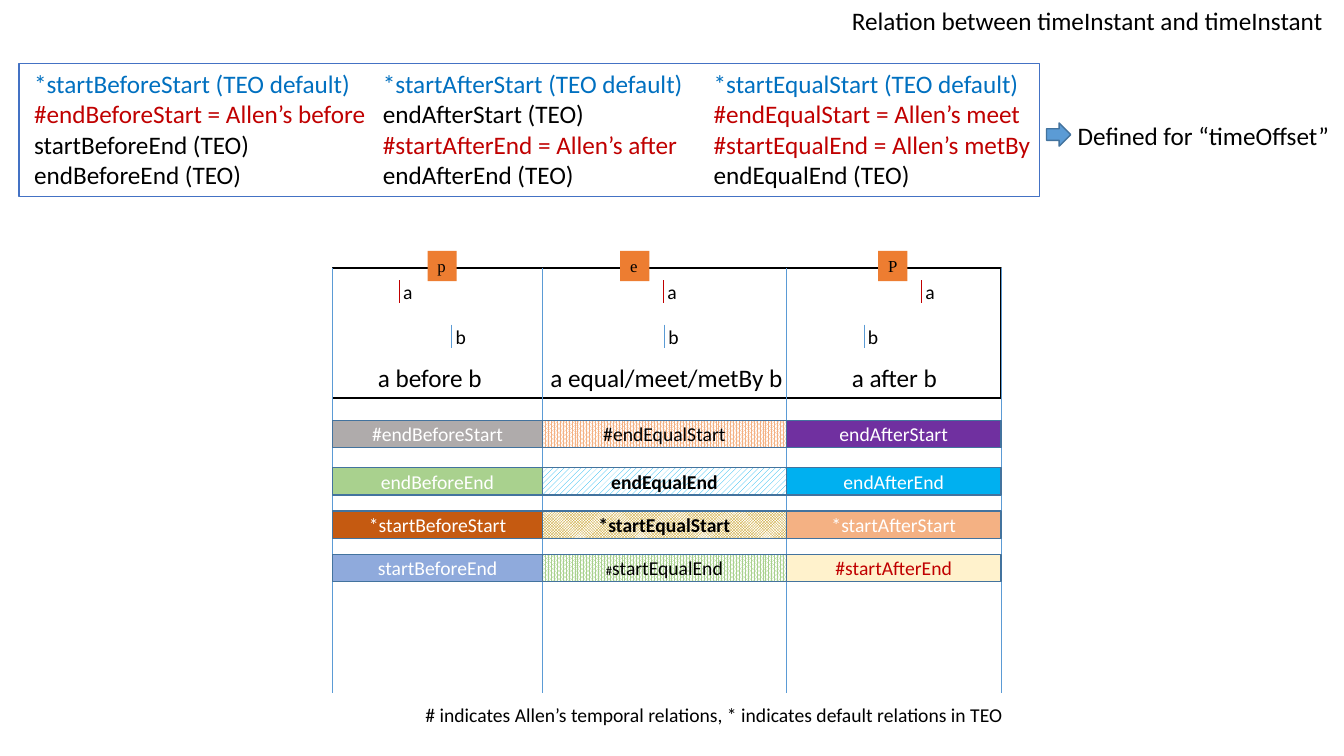
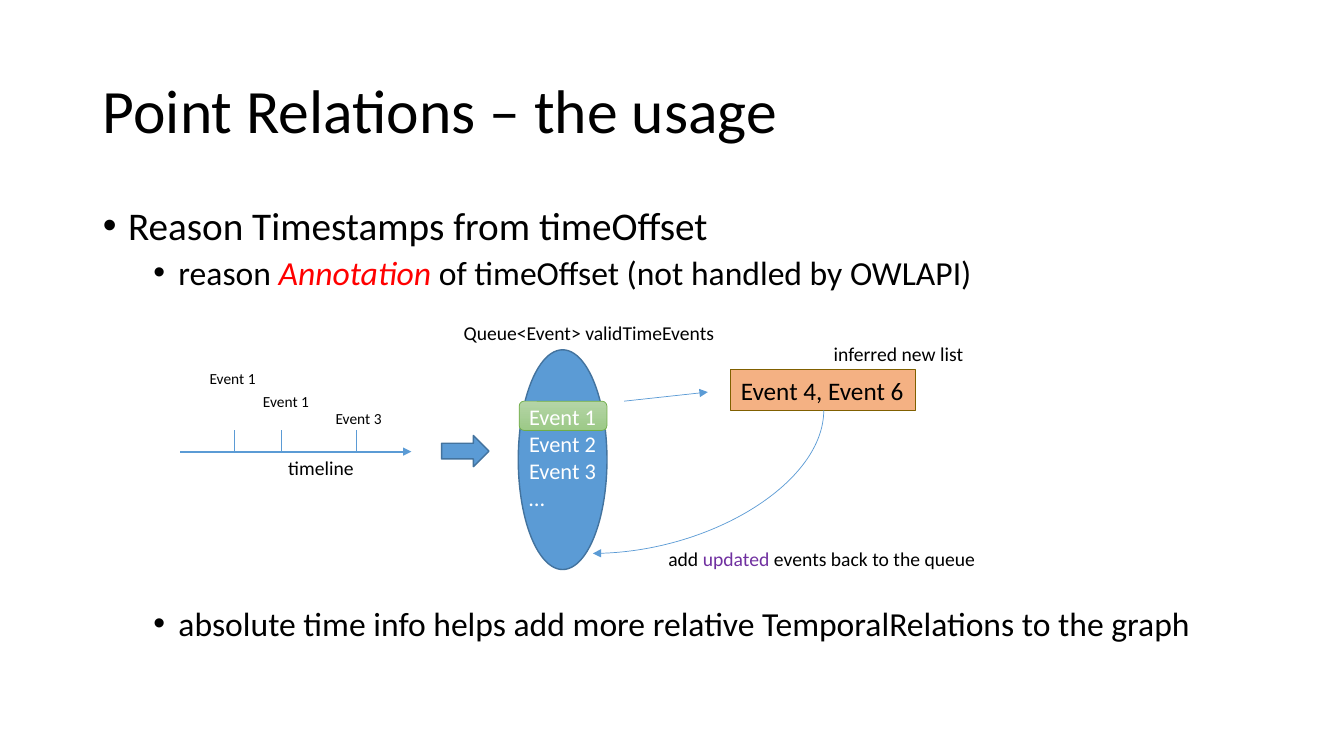
from dataclasses import dataclass

import lxml.etree
import pptx
import pptx.dml.color
import pptx.enum.dml
import pptx.enum.shapes
import pptx.enum.text
import pptx.oxml.ns
import pptx.util

Inches, Pt = pptx.util.Inches, pptx.util.Pt
SHAPE = pptx.enum.shapes.MSO_SHAPE
CONNECTOR = pptx.enum.shapes.MSO_CONNECTOR
PATTERN = pptx.enum.dml.MSO_PATTERN
ALIGN = pptx.enum.text.PP_ALIGN
ANCHOR = pptx.enum.text.MSO_ANCHOR
AUTOSIZE = pptx.enum.text.MSO_AUTO_SIZE
qn = pptx.oxml.ns.qn


@dataclass(frozen=True)
class Theme:
    """Fonts, type sizes and colours used by both slides."""
    font: str = "Calibri"
    tag_font: str = "Times New Roman"
    title: int = 44
    bullet: int = 28
    sub_bullet: int = 24
    text: int = 18
    queue: int = 16
    label: int = 14
    tag: int = 12
    event: int = 11
    hash: int = 9
    black: str = "000000"
    white: str = "FFFFFF"
    blue: str = "5B9BD5"
    edge: str = "43739E"
    frame: str = "4472C4"
    default: str = "0070C0"
    allen: str = "C00000"
    orange: str = "ED7D31"
    peach: str = "F4B183"
    green: str = "A9D18E"
    purple: str = "7030A0"
    red: str = "FF0000"
    brown: str = "806000"
    glow: tuple = ("B5D5A7", "9CC987")
    glow_edge: str = "70AD47"


T = Theme()

# Slide 1 content
HEADING = "Relation between timeInstant and timeInstant"
OFFSET_NOTE = "Defined for “timeOffset”"
LEGEND = "# indicates Allen’s temporal relations, * indicates default relations in TEO"
RELATION_LISTS = [  # left, width, relations
    (0.24, 3.6, ["*startBeforeStart (TEO default)", "#endBeforeStart = Allen’s before",
                 "startBeforeEnd (TEO)", "endBeforeEnd (TEO)"]),
    (3.7, 3.5, ["*startAfterStart (TEO default)", "endAfterStart (TEO)",
                "#startAfterEnd = Allen’s after", "endAfterEnd (TEO)"]),
    (6.98, 3.5, ["*startEqualStart (TEO default)", "#endEqualStart = Allen’s meet",
                 "#startEqualEnd = Allen’s metBy", "endEqualEnd (TEO)"]),
]
CASES = [  # tag, tag left, tick a, tick b, caption, caption left, caption width
    ("p", 4.24, 3.96, 4.48, "a before b", 3.65, 1.24),
    ("e", 6.15, 6.58, 6.59, "a equal/meet/metBy b", 5.36, 2.54),
    ("P", 8.71, 9.14, 8.57, "a after b", 8.35, 1.06),
]
COLUMN_EDGES = [3.3, 5.38, 7.8, 9.93]
BAR_TOPS = [4.17, 4.64, 5.07, 5.5]
BAR_ROWS = [  # per column: label runs, fill, pattern, text colour, bold
    [([("#endBeforeStart", T.label)], "AFABAB", None, T.white, False),
     ([("#endEqualStart", T.label)], T.peach, PATTERN.PERCENT_80, T.black, False),
     ([("endAfterStart", T.label)], T.purple, None, T.white, False)],
    [([("endBeforeEnd", T.label)], T.green, None, T.white, False),
     ([("endEqualEnd", T.label)], "00B0F0", PATTERN.WIDE_UPWARD_DIAGONAL, T.black, True),
     ([("endAfterEnd", T.label)], "00B0F0", None, T.white, False)],
    [([("*startBeforeStart", T.label)], "C55A11", None, T.white, False),
     ([("*startEqualStart", T.label)], "BF9000", PATTERN.SMALL_CHECKER_BOARD, T.black, True),
     ([("*startAfterStart", T.label)], T.peach, None, T.white, False)],
    [([("startBeforeEnd", T.label)], "8FAADC", None, T.white, False),
     ([("#", T.hash), ("startEqualEnd", T.label)], T.green, PATTERN.PERCENT_80, T.black, False),
     ([("#startAfterEnd", T.label)], "FFF2CC", None, T.allen, False)],
]

# Slide 2 content
USAGE_TITLE = "Point Relations – the usage"
USAGE_POINTS = [  # left margin, size, space before, runs (text, colour, italic)
    (0.25, T.bullet, 10, [("Reason Timestamps from timeOffset", T.black, False)]),
    (0.75, T.sub_bullet, 5, [("reason ", T.black, False), ("Annotation", T.red, True),
                             (" of timeOffset (not handled by OWLAPI)", T.black, False)]),
    (0.75, T.sub_bullet, 225, [("absolute time info helps add more relative "
                                "TemporalRelations to the graph", T.black, False)]),
]
TIMELINE_EVENTS = [  # name, label left, label top, tick
    ("Event 1", 1.98, 3.61, 2.32),
    ("Event 1", 2.51, 3.84, 2.79),
    ("Event 3", 3.23, 4.01, 3.53),
]
QUEUE = ["Event 1", "Event 2", "Event 3", "…"]
DIAGRAM_LABELS = [  # left, top, width, runs (text, colour)
    (4.5, 3.13, 2.72, [("Queue<Event> validTimeEvents", T.black)]),
    (8.17, 3.34, 1.5, [("inferred new list", T.black)]),
    (2.76, 4.47, 0.86, [("timeline", T.black)]),
    (6.53, 5.38, 3.28, [("add ", T.black), ("updated", T.purple),
                        (" events back to the queue", T.black)]),
]


def rgb(code):
    """Turn a hex code into a colour."""
    return pptx.dml.color.RGBColor.from_string(code)


def add_run(paragraph, text, size, colour=T.black, bold=False, italic=False, font=T.font):
    """Append one formatted run."""
    run = paragraph.add_run()
    run.text = text
    run.font.name, run.font.size = font, Pt(size)
    run.font.bold, run.font.italic = bold, italic
    run.font.color.rgb = rgb(colour)


def place(part, left, top, width, height):
    """Move and size a placeholder."""
    part.left, part.top = Inches(left), Inches(top)
    part.width, part.height = Inches(width), Inches(height)


def add_label(slide, left, top, width, height, lines, size, wrap=False):
    """Add a text box; each line is a list of (text, colour) runs."""
    box = slide.shapes.add_textbox(*map(Inches, (left, top, width, height)))
    frame = box.text_frame
    frame.word_wrap = wrap
    frame.auto_size = AUTOSIZE.SHAPE_TO_FIT_TEXT
    for number, line in enumerate(lines):
        paragraph = frame.add_paragraph() if number else frame.paragraphs[0]
        for text, colour in line:
            add_run(paragraph, text, size, colour)


def add_figure(slide, kind, left, top, width, height, fill, edge=T.edge, weight=1.0,
               pattern=None):
    """Add a flat preset shape with a solid or patterned fill."""
    figure = slide.shapes.add_shape(kind, *map(Inches, (left, top, width, height)))
    figure.shadow.inherit = False
    if pattern is None:
        figure.fill.solid()
    else:
        figure.fill.patterned()
        figure.fill.pattern = pattern
        figure.fill.back_color.rgb = rgb(T.white)
    figure.fill.fore_color.rgb = rgb(fill)
    if edge is None:
        figure.line.fill.background()
    else:
        figure.line.color.rgb = rgb(edge)
        figure.line.width = Pt(weight)
    return figure


def fit_text(figure, text, size, font=T.font):
    """Put one unwrapped, left-aligned line in a shape."""
    frame = figure.text_frame
    frame.word_wrap = False
    frame.auto_size = AUTOSIZE.SHAPE_TO_FIT_TEXT
    frame.vertical_anchor = ANCHOR.TOP
    frame.paragraphs[0].alignment = ALIGN.LEFT
    add_run(frame.paragraphs[0], text, size, font=font)


def add_line(slide, start, end, colour=T.blue, weight=0.5, arrow=False, kind=CONNECTOR.STRAIGHT):
    """Add a connector without shadow, optionally with an arrowhead at its end."""
    line = slide.shapes.add_connector(kind, *map(Inches, (*start, *end)))
    line.line.color.rgb = rgb(colour)
    line.line.width = Pt(weight)
    properties = line._element.spPr
    if arrow:
        lxml.etree.SubElement(properties.find(qn("a:ln")), qn("a:tailEnd"), type="triangle")
    lxml.etree.SubElement(properties, qn("a:effectLst"))
    return line


def add_return_curve(slide, start, end):
    """Add a quarter curve that leaves start downwards and reaches end leftwards."""
    across, down = start[0] - end[0], end[1] - start[1]
    middle_x, middle_y = (start[0] + end[0]) / 2, (start[1] + end[1]) / 2
    curve = add_line(slide, (middle_x - down / 2, middle_y - across / 2),
                     (middle_x + down / 2, middle_y + across / 2),
                     arrow=True, kind=CONNECTOR.CURVE)
    properties = curve._element.spPr
    properties.find(qn("a:xfrm")).set("rot", str(90 * 60000))
    properties.find(qn("a:prstGeom")).set("prst", "curvedConnector2")


def set_title(slide, text, size, area, anchor, spacing=1.0):
    """Fill the title placeholder."""
    title = slide.shapes.title
    place(title, *area)
    frame = title.text_frame
    frame.auto_size = AUTOSIZE.NONE
    frame.vertical_anchor = anchor
    paragraph = frame.paragraphs[0]
    paragraph.alignment = ALIGN.LEFT
    paragraph.line_spacing = spacing
    add_run(paragraph, text, size)


def relation_colour(relation):
    """Colour a relation by its leading mark."""
    return {"*": T.default, "#": T.allen}.get(relation[0], T.black)


def build_relations(slide):
    """Slide 1: relation lists above the table of cases."""
    set_title(slide, HEADING, T.text, (8.35, 0, 4.98, 0.4), ANCHOR.TOP)
    add_figure(slide, SHAPE.RECTANGLE, 0.19, 0.63, 10.12, 1.32, T.white, T.frame)
    for left, width, relations in RELATION_LISTS:
        lines = [[(relation, relation_colour(relation))] for relation in relations]
        add_label(slide, left, 0.63, width, 1.31, lines, T.text, wrap=True)
    add_figure(slide, SHAPE.RIGHT_ARROW, 10.38, 1.22, 0.24, 0.23, T.blue)
    add_label(slide, 10.59, 1.14, 2.72, 0.4, [[(OFFSET_NOTE, T.black)]], T.text)

    grid_top, grid_bottom = 2.66, 6.88
    add_figure(slide, SHAPE.RECTANGLE, COLUMN_EDGES[0], grid_top,
               COLUMN_EDGES[-1] - COLUMN_EDGES[0], 1.29, T.white, T.black)
    for edge in COLUMN_EDGES:
        add_line(slide, (edge, grid_top), (edge, grid_bottom))
    for tag, tag_left, tick_a, tick_b, caption, left, width in CASES:
        for name, tick, top, colour in (("a", tick_a, 2.78, T.allen), ("b", tick_b, 3.22, T.blue)):
            add_line(slide, (tick, top), (tick, top + 0.23), colour)
            add_label(slide, tick - 0.06, top - 0.05, 0.3, 0.34, [[(name, T.black)]], T.label)
        add_label(slide, left, 3.55, width, 0.4, [[(caption, T.black)]], T.text)
        marker = add_figure(slide, SHAPE.RECTANGLE, tag_left, 2.49, 0.29, 0.3, T.orange, None)
        fit_text(marker, tag, T.tag, T.tag_font)

    for top, row in zip(BAR_TOPS, BAR_ROWS):
        for left, right, bar in zip(COLUMN_EDGES, COLUMN_EDGES[1:], row):
            label, fill, pattern, colour, bold = bar
            figure = add_figure(slide, SHAPE.RECTANGLE, left, top, right - left, 0.27, fill,
                                pattern=pattern)
            figure.text_frame.vertical_anchor = ANCHOR.MIDDLE
            paragraph = figure.text_frame.paragraphs[0]
            paragraph.alignment = ALIGN.CENTER
            for text, size in label:
                add_run(paragraph, text, size, colour, bold)
    add_label(slide, 4.12, 6.92, 5.99, 0.34, [[(LEGEND, T.black)]], T.label)


def fill_points(body):
    """Write the bulleted points of slide 2."""
    place(body, 0.92, 2, 11.5, 4.76)
    frame = body.text_frame
    frame.auto_size = AUTOSIZE.NONE
    for number, (margin, size, before, runs) in enumerate(USAGE_POINTS):
        paragraph = frame.add_paragraph() if number else frame.paragraphs[0]
        paragraph.level = 1 if number else 0
        paragraph.line_spacing = 0.9
        paragraph.space_before = Pt(before)
        properties = paragraph._p.get_or_add_pPr()
        properties.set("marL", str(Inches(margin)))
        properties.set("indent", str(Inches(-0.25)))
        lxml.etree.SubElement(properties, qn("a:buFont"), typeface="Arial")
        lxml.etree.SubElement(properties, qn("a:buChar"), char="•")
        for text, colour, italic in runs:
            add_run(paragraph, text, size, colour, italic=italic)


def build_usage(slide):
    """Slide 2: the points and the queue diagram."""
    set_title(slide, USAGE_TITLE, T.title, (0.92, 0.4, 11.5, 1.45), ANCHOR.MIDDLE, 0.9)
    fill_points(slide.placeholders[1])

    axis = 4.48
    add_line(slide, (1.79, axis), (4.08, axis), weight=1.5, arrow=True)
    for name, left, top, tick in TIMELINE_EVENTS:
        add_line(slide, (tick, axis - 0.21), (tick, axis))
        add_label(slide, left, top, 0.67, 0.29, [[(name, T.black)]], T.event)
    add_figure(slide, SHAPE.RIGHT_ARROW, 4.38, 4.32, 0.47, 0.31, T.blue)

    add_figure(slide, SHAPE.OVAL, 5.14, 3.47, 0.88, 2.18, T.blue)
    head = add_figure(slide, SHAPE.ROUNDED_RECTANGLE, 5.15, 3.98, 0.87, 0.29, T.green,
                      T.glow_edge, 0.5)
    head.fill.gradient()
    head.fill.gradient_angle = 270
    for stop, colour in zip(head.fill.gradient_stops, T.glow):
        stop.color.rgb = rgb(colour)
    add_label(slide, 5.15, 3.95, 0.87, 1.21, [[(event, T.white)] for event in QUEUE], T.queue)

    add_line(slide, (6.19, 3.98), (7.02, 3.89), arrow=True)
    inferred = add_figure(slide, SHAPE.RECTANGLE, 7.25, 3.67, 1.83, 0.4, T.peach, T.brown, 0.75)
    fit_text(inferred, "Event 4, Event 6", T.text)
    add_return_curve(slide, (8.17, 4.07), (5.88, 5.49))
    for left, top, width, runs in DIAGRAM_LABELS:
        add_label(slide, left, top, width, 0.34, [runs], T.label)


deck = pptx.Presentation()
deck.slide_width, deck.slide_height = Inches(13.33), Inches(7.5)
build_relations(deck.slides.add_slide(deck.slide_layouts[5]))
build_usage(deck.slides.add_slide(deck.slide_layouts[1]))
deck.save("out.pptx")
